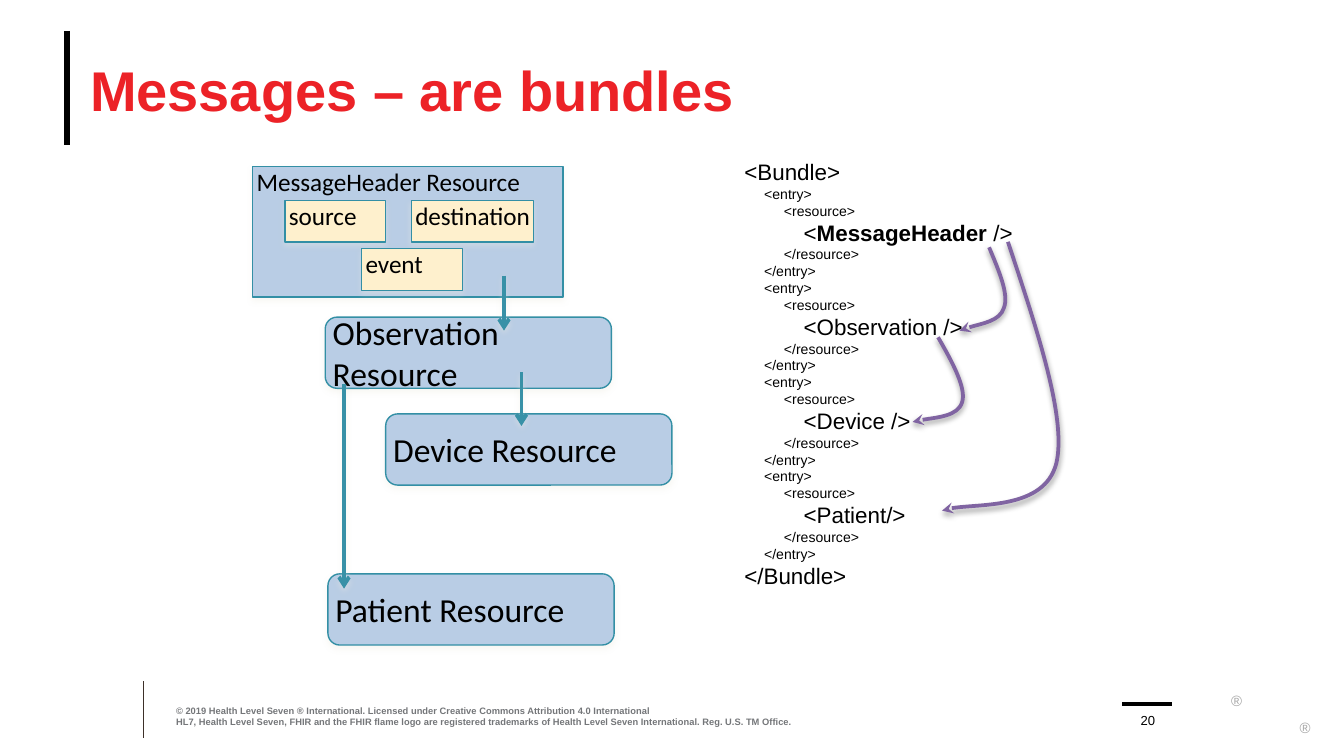
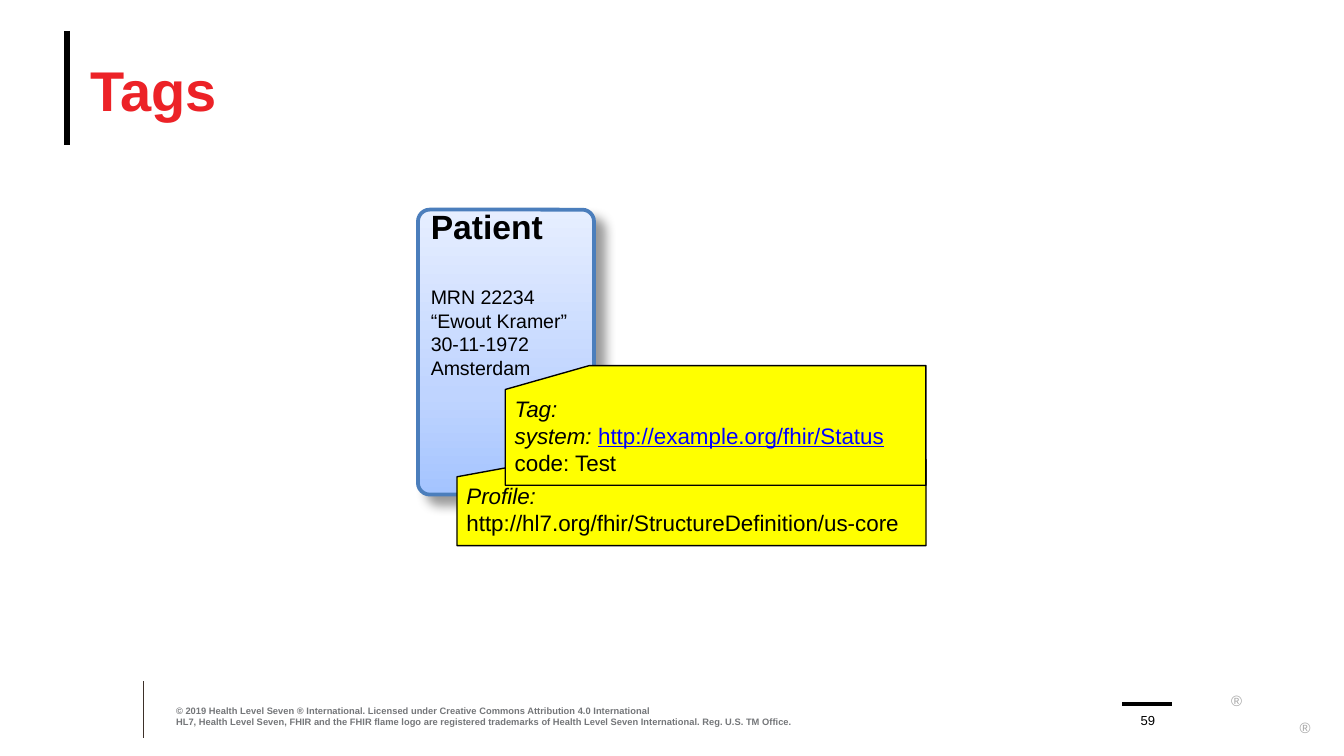
from dataclasses import dataclass
from typing import NamedTuple, Optional

from lxml import etree
from pptx import Presentation
from pptx import slide as slides
from pptx.dml import color
from pptx.enum import shapes, text
from pptx.oxml import ns
from pptx.util import Emu, Inches, Pt

COLORS = {
    "title": "EC2227", "ink": "000000", "rule": "3D3029", "legal": "747679",
    "mark": "A6A6A6", "resource": "B9CDE5", "field": "FEF0CD", "edge": "338FA5",
    "flow": "3891A7", "reference": "8064A2", "haze": "EEECE1", "card": "FFFF00",
    "patient_edge": "4B7EBC", "link": "0000FF",
}
PATIENT_FADE = [(0, "A4C4FF"), (35, "BFD4FF"), (100, "E6EEFF")]
WIDTH, HEIGHT = Inches(10), Inches(5.625)
UNIT = WIDTH / 100  # one grid column, also one grid row
TOP, MIDDLE, BOTTOM = (text.MSO_ANCHOR.TOP, text.MSO_ANCHOR.MIDDLE, text.MSO_ANCHOR.BOTTOM)
RECT = shapes.MSO_SHAPE.RECTANGLE
ROUNDED = shapes.MSO_SHAPE.ROUNDED_RECTANGLE
CARD = shapes.MSO_SHAPE.FLOWCHART_CARD

Point = tuple[float, float]


class Area(NamedTuple):
    col: float
    row: float
    cols: float
    rows: float


class Span(NamedTuple):
    words: str
    size: float = 12
    ink: str = "ink"
    bold: bool = False
    italic: bool = False
    underline: bool = False
    font: str = "Arial"


class Shadow(NamedTuple):
    ink: str
    alpha: int
    blur: float
    distance: float
    angle: int


class Rule(NamedTuple):
    start: Point
    end: Point
    ink: str
    weight: float
    head: Optional[str] = None
    shadow: Optional[Shadow] = None


@dataclass
class Node:
    label: str
    area: Area
    size: float = 18
    kind: int = ROUNDED
    fill: str = "resource"
    anchor: int = MIDDLE


BOX_SHADOW = Shadow("haze", 35, 3, 1.8, 90)
FLOW_SHADOW = Shadow("haze", 38, 3, 1.6, 90)
CURVE_SHADOW = Shadow("ink", 38, 3.1, 1.6, 90)
PATIENT_SHADOW = Shadow("ink", 40, 6, 7, 45)
CARD_INSETS = (0.7, 0.4, 0.7, 0.4)

FRAME_RULES = [
    Rule((5, 2.3), (5, 10.8), "ink", 3.25),
    Rule((10.7, 50.7), (10.7, 54.9), "rule", 0.5),
    Rule((83.5, 52.4), (87.2, 52.4), "ink", 2),
]
MARKS = [Area(91.6, 51, 1.1, 0.9), Area(96.7, 53, 0.9, 0.9)]
LEGAL = [
    "© 2019 Health Level Seven ® International. Licensed under Creative Commons "
    "Attribution 4.0 International",
    "HL7, Health Level Seven, FHIR and the FHIR flame logo are registered trademarks of "
    "Health Level Seven International. Reg. U.S. TM Office.",
]


def grid(count: float) -> Emu:
    return Emu(round(count * UNIT))


def rgb(name: str) -> color.RGBColor:
    return color.RGBColor.from_string(COLORS[name])


def add_node(parent, tag: str, **attributes):
    return etree.SubElement(parent, ns.qn(tag), attributes)


def set_shadow(properties, shadow: Optional[Shadow]) -> None:
    """Write the effect list, left empty when there is no shadow."""
    effects = properties.find(ns.qn("a:effectLst"))
    if effects is None:
        effects = add_node(properties, "a:effectLst")
    if shadow:
        outer = add_node(effects, "a:outerShdw", blurRad=str(Pt(shadow.blur)),
                         dist=str(Pt(shadow.distance)), dir=str(shadow.angle * 60000),
                         algn="ctr", rotWithShape="0")
        tint = add_node(outer, "a:srgbClr", val=COLORS[shadow.ink])
        add_node(tint, "a:alpha", val=str(shadow.alpha * 1000))


def set_line(line, ink: str, weight: float, head: Optional[str] = None) -> None:
    line.color.rgb = rgb(ink)
    line.width = Pt(weight)
    if head:
        add_node(line._get_or_add_ln(), "a:tailEnd", type=head)


def write(box, paras: list[list[Span]], insets=(0, 0, 0, 0), anchor=TOP,
          align=text.PP_ALIGN.LEFT, wrap: bool = True) -> None:
    frame = box.text_frame
    frame.word_wrap = wrap
    frame.vertical_anchor = anchor
    (frame.margin_left, frame.margin_top,
     frame.margin_right, frame.margin_bottom) = map(grid, insets)
    frame.text = "\n".join(spans[0].words for spans in paras)
    for para, spans in zip(frame.paragraphs, paras):
        para.alignment = align
        styled = [(run, spans[0]) for run in para.runs]
        for span in spans[1:]:
            run = para.add_run()
            run.text = span.words
            styled.append((run, span))
        for run, span in styled:
            font = run.font
            font.name, font.size = span.font, Pt(span.size)
            font.bold, font.italic, font.underline = span.bold, span.italic, span.underline
            font.color.rgb = rgb(span.ink)


def add_text(page: slides.Slide, area: Area, paras: list[list[Span]], **layout):
    box = page.shapes.add_textbox(*map(grid, area))
    write(box, paras, **layout)
    return box


def add_box(page: slides.Slide, kind: int, area: Area, fill: Optional[str], edge: str,
            weight: float, shadow: Optional[Shadow] = None):
    box = page.shapes.add_shape(kind, *map(grid, area))
    box.shadow.inherit = False
    if fill:
        box.fill.solid()
        box.fill.fore_color.rgb = rgb(fill)
    set_line(box.line, edge, weight)
    set_shadow(box._element.spPr, shadow)
    return box


def add_rule(page: slides.Slide, rule: Rule) -> None:
    line = page.shapes.add_connector(shapes.MSO_CONNECTOR.STRAIGHT,
                                     *map(grid, rule.start + rule.end))
    set_line(line.line, rule.ink, rule.weight, rule.head)
    set_shadow(line._element.spPr, rule.shadow)


def add_resource(page: slides.Slide, node: Node) -> None:
    box = add_box(page, node.kind, node.area, node.fill, "edge", 0.75, BOX_SHADOW)
    write(box, [[Span(node.label, node.size, font="Calibri")]], (0.3, 0, 0, 0), node.anchor)


def add_curve(page: slides.Slide, points: list[Point]) -> None:
    """Draw an arrow through a start point and triples of Bezier points."""
    places = [(grid(x), grid(y)) for x, y in points]
    builder = page.shapes.build_freeform(*places[0])
    builder.add_line_segments(places[1:], close=False)
    curve = builder.convert_to_shape()
    track = curve._element.find(".//" + ns.qn("a:path"))
    segments = track.findall(ns.qn("a:lnTo"))
    for first in range(0, len(segments), 3):
        bend = add_node(track, "a:cubicBezTo")
        for segment in segments[first:first + 3]:
            bend.append(segment[0])
            track.remove(segment)
    curve.shadow.inherit = False
    curve.fill.background()
    set_line(curve.line, "reference", 2, "stealth")
    set_shadow(curve._element.spPr, CURVE_SHADOW)


def add_page(deck, title: str, number: int) -> slides.Slide:
    """Start a slide with the shared title, rules and footer."""
    page = deck.slides.add_slide(deck.slide_layouts[6])
    for rule in FRAME_RULES:
        add_rule(page, rule)
    for area in MARKS:
        add_text(page, area, [[Span("®", 8, "mark")]], insets=(0, 0.5, 0, 0), wrap=False)
    add_text(page, Area(6.7, 2.3, 90, 8.6), [[Span(title, 30, "title", bold=True)]],
             anchor=MIDDLE)
    add_text(page, Area(13.1, 52.4, 49.5, 1.7),
             [[Span(words, 5, "legal", bold=True)] for words in LEGAL], anchor=BOTTOM)
    add_text(page, Area(83.9, 52.5, 3, 1.7), [[Span(str(number), 7)]],
             anchor=BOTTOM, align=text.PP_ALIGN.CENTER)
    return page


def bundle_code() -> list[list[Span]]:
    bodies = [
        [Span("\t\t\t<"), Span("MessageHeader", bold=True), Span(" />")],
        [Span("\t\t\t<Observation />")],
        [Span("\t\t\t<Device />")],
        [Span("\t\t\t<Patient/>")],
    ]
    lines = [[Span("<Bundle>")]]
    for body in bodies:
        lines += [[Span("\t<entry>", 7.5)], [Span("\t\t<resource>", 7.5)], body,
                  [Span("\t\t</resource>", 7.5)], [Span("\t</entry>", 7.5)]]
    return lines + [[Span("</Bundle>")]]


def build_messages(deck) -> None:
    page = add_page(deck, "Messages – are bundles", 20)

    # Bundle listing
    listing = add_text(page, Area(54.4, 11.3, 22.2, 33.3), bundle_code(),
                       insets=(1, 0.5, 1, 0.5), wrap=False)
    for para in listing.text_frame.paragraphs:
        stops = add_node(para._p.get_or_add_pPr(), "a:tabLst")
        for level in range(1, 5):
            add_node(stops, "a:tab", pos=str(grid(1.47 * level)), algn="l")

    # Resources and the fields of the header
    nodes = [
        Node("Observation Resource", Area(24.2, 23.6, 21.3, 5.3)),
        Node("MessageHeader Resource", Area(18.8, 12.4, 23.1, 9.7), 13.5, RECT, anchor=TOP),
        Node("Device Resource", Area(28.7, 30.8, 21.3, 5.3)),
        Node("Patient Resource", Area(24.4, 42.7, 21.3, 5.3)),
    ]
    fields = [("source", Area(21.2, 14.9, 7.5, 3.1)),
              ("destination", Area(30.6, 14.9, 9.1, 3.1)),
              ("event", Area(26.9, 18.5, 7.5, 3.1))]
    nodes += [Node(label, area, 13.5, RECT, "field", TOP) for label, area in fields]
    for node in nodes:
        add_resource(page, node)

    # Arrows between resources: column, first row, last row
    for col, first, last in [(37.5, 20.5, 24.6), (38.8, 27.7, 31.7), (25.6, 28.6, 43.8)]:
        add_rule(page, Rule((col, first), (col, last), "flow", 2, "arrow", FLOW_SHADOW))

    # References inside the listing
    for points in [
        [(73.6, 18.4), (74.3, 20.1), (75.1, 21.9), (74.7, 22.9),
         (74.4, 23.9), (72, 24.3), (71.4, 24.6)],
        [(75, 18), (77.2, 24.6), (79.4, 31.2), (78.6, 34.5),
         (77.7, 37.9), (71.5, 37.4), (70.1, 38)],
        [(69.8, 25.1), (70.9, 27), (71.9, 28.9), (71.6, 29.9),
         (71.3, 31), (68.5, 31.2), (67.9, 31.4)],
    ]:
        add_curve(page, points)


def build_tags(deck) -> None:
    page = add_page(deck, "Tags", 59)

    # Patient record
    patient = add_box(page, ROUNDED, Area(31.1, 15.6, 13.1, 21.2), None,
                      "patient_edge", 2, PATIENT_SHADOW)
    patient.adjustments[0] = 0.067
    patient.fill.gradient()
    patient.fill.gradient_angle = 90
    stops = patient._element.spPr.find(".//" + ns.qn("a:gsLst"))
    for stop in list(stops):
        stops.remove(stop)
    for share, tint in PATIENT_FADE:
        add_node(add_node(stops, "a:gs", pos=str(share * 1000)), "a:srgbClr", val=tint)
    details = ["MRN 22234", "“Ewout Kramer”", "30-11-1972", "Amsterdam"]
    write(patient, [[Span("Patient", 18, bold=True)]] + [[Span(d, 10.5)] for d in details],
          (0.7, 0, 0.7, 8.9), MIDDLE)
    patient.text_frame.paragraphs[1].space_before = Pt(21)

    # Profile and tag cards
    cards = [
        (Area(34, 34.2, 34.9, 6.4),
         [[Span("Profile:\v", italic=True),
           Span("http://hl7.org/fhir/StructureDefinition/us-core")]]),
        (Area(37.6, 27.2, 31.3, 8.9),
         [[Span("Tag:\vsystem: ", italic=True),
           Span("http://example.org/fhir/Status", ink="link", underline=True)],
          [Span("code: Test")]]),
    ]
    for area, paras in cards:
        write(add_box(page, CARD, area, "card", "ink", 0.75), paras, CARD_INSETS)


def main() -> None:
    deck = Presentation()
    deck.slide_width, deck.slide_height = WIDTH, HEIGHT
    build_messages(deck)
    build_tags(deck)
    deck.save("out.pptx")


if __name__ == "__main__":
    main()
